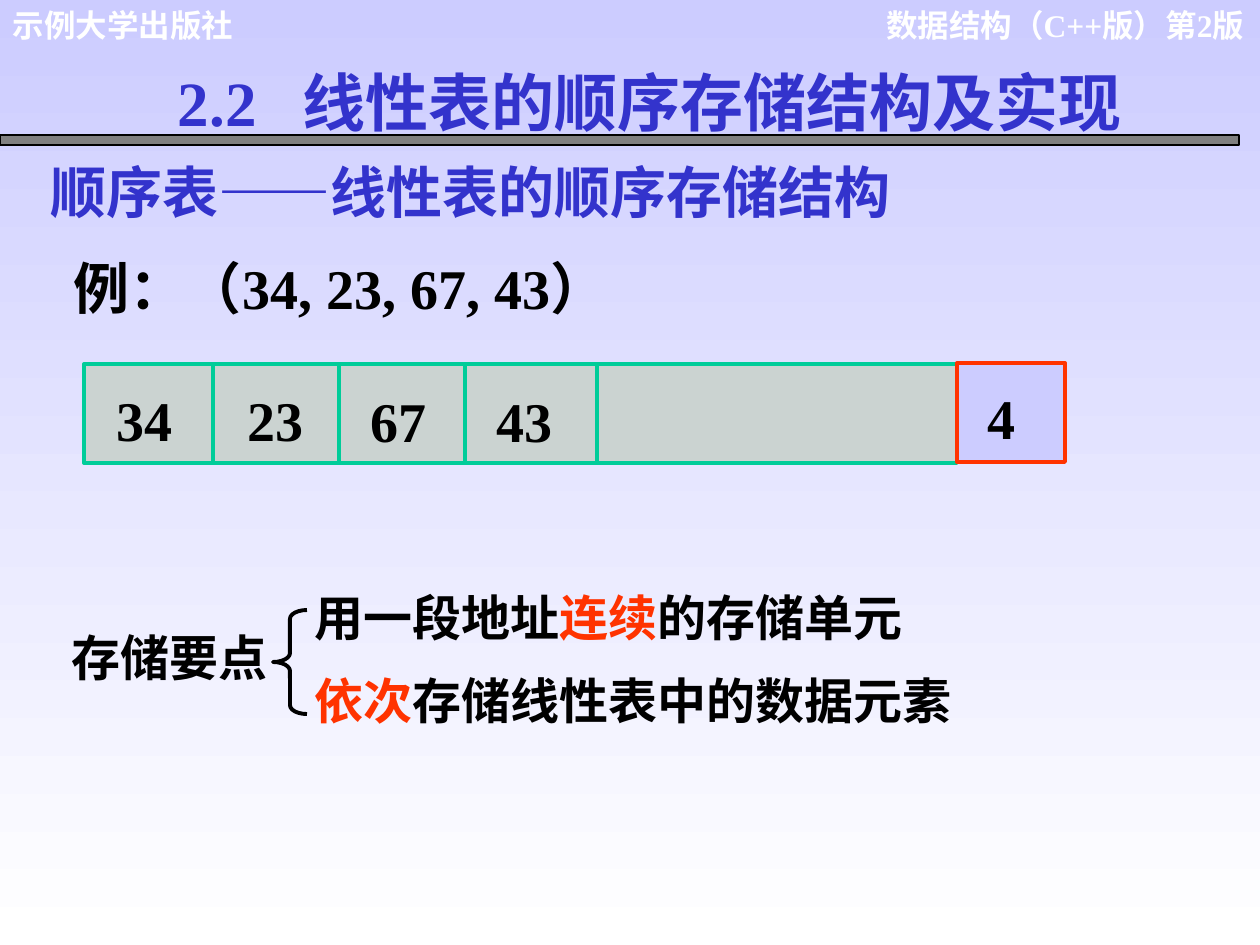
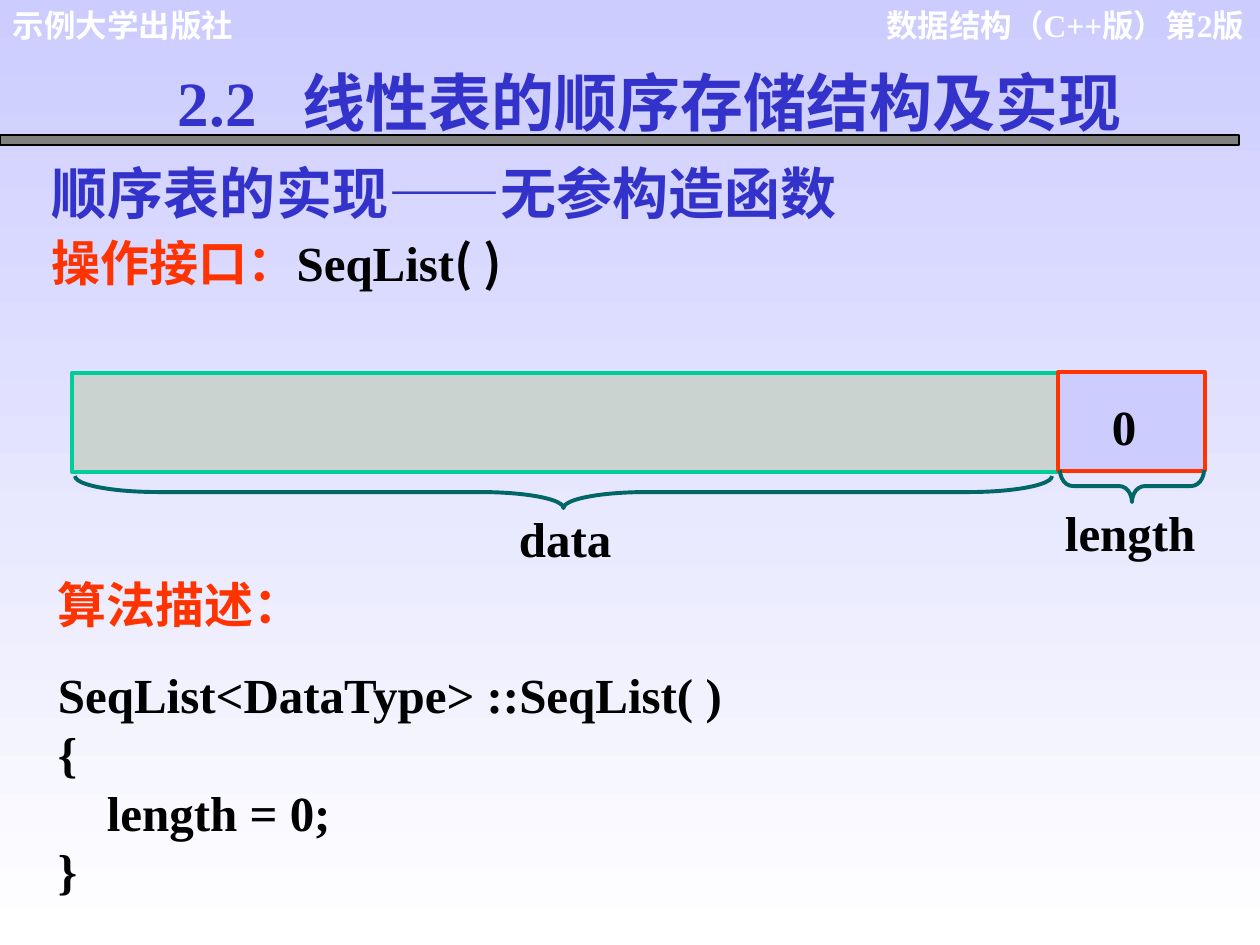
import dataclasses

import lxml.etree
import pptx
import pptx.dml.color
import pptx.enum.shapes
import pptx.enum.text
import pptx.oxml.ns
import pptx.util

EMU_PER_PX = 914400 / 126
ALIGN = pptx.enum.text.PP_ALIGN
SHAPES = pptx.enum.shapes.MSO_SHAPE


@dataclasses.dataclass(frozen=True)
class Theme:
    serif: str = "Times New Roman"
    sans: str = "Arial"
    chinese: str = "Noto Sans CJK SC"
    blue: str = "3333CC"
    red: str = "FF3300"
    black: str = "000000"
    white: str = "FFFFFF"
    lavender: str = "CCCCFF"
    band: str = "808080"
    array: str = "CBD3D1"
    green: str = "00CC99"
    teal: str = "006666"
    title: int = 36
    heading: int = 32
    body: int = 28
    header: int = 18
    outline: float = 2.25
    hairline: float = 0.75


def px(length):
    return pptx.util.Emu(round(length * EMU_PER_PX))


def rgb(value):
    return pptx.dml.color.RGBColor.from_string(value)


class Deck:
    def __init__(self, theme):
        self.theme = theme
        self.presentation = pptx.Presentation()
        self.presentation.slide_width = px(1260)
        self.presentation.slide_height = px(945)
        self.slide = None

    def new_slide(self):
        theme = self.theme
        self.slide = self.presentation.slides.add_slide(self.presentation.slide_layouts[6])
        fill = self.slide.background.fill
        fill.gradient()
        fill.gradient_angle = 270
        for stop, colour in zip(fill.gradient_stops, (theme.lavender, theme.white)):
            stop.color.rgb = rgb(colour)
        self.text((863, 0, 394, 88), "数据结构（C++版）第2版", theme.header, theme.white,
                  align=ALIGN.RIGHT)
        self.text((0, 0, 341, 50), "示例大学出版社", theme.header, theme.white, font=theme.sans)
        self.box((0, 135, 1239, 10), theme.band, theme.black, theme.hairline)
        title = self.text((165, 64, 1029, 76), "2.2\t线性表的顺序存储结构及实现",
                          theme.title, theme.blue, insets=(13, 0, 13, 0))
        self.tab_stop(title.text_frame.paragraphs[0], 125)

    def tab_stop(self, paragraph, position):
        tabs = lxml.etree.SubElement(paragraph._p.get_or_add_pPr(), pptx.oxml.ns.qn("a:tabLst"))
        lxml.etree.SubElement(tabs, pptx.oxml.ns.qn("a:tab"), pos=str(px(position)), algn="l")

    def format_run(self, run, size, colour, font):
        run.font.size = pptx.util.Pt(size)
        run.font.bold = True
        run.font.name = font
        run.font.color.rgb = rgb(colour)
        east_asian = lxml.etree.Element(pptx.oxml.ns.qn("a:ea"), typeface=self.theme.chinese)
        run.font._rPr.find(pptx.oxml.ns.qn("a:latin")).addnext(east_asian)

    def text(self, area, content, size, colour=None, font=None, align=ALIGN.LEFT,
             insets=(13, 6, 13, 6), gap=0, spacing=None):
        shape = self.slide.shapes.add_textbox(*map(px, area))
        frame = shape.text_frame
        frame.word_wrap = True
        (frame.margin_left, frame.margin_top,
         frame.margin_right, frame.margin_bottom) = map(px, insets)
        lines = [content] if isinstance(content, str) else content
        for index, line in enumerate(lines):
            paragraph = frame.paragraphs[0] if index == 0 else frame.add_paragraph()
            paragraph.alignment = align
            if spacing:
                paragraph.line_spacing = spacing
            if index == 1 and gap:
                paragraph.space_before = pptx.util.Pt(gap)
            pieces = [(line,)] if isinstance(line, str) else line
            for piece, *style in pieces:
                run = paragraph.add_run()
                run.text = piece
                run_colour = style[0] if style else colour or self.theme.black
                run_font = style[1] if len(style) > 1 else font or self.theme.serif
                self.format_run(run, size, run_colour, run_font)
        return shape

    def label(self, left, top, content, size):
        self.text((left, top, 140, 80), content, size, insets=(0, 6, 0, 6))

    def box(self, area, fill, line, weight=None):
        shape = self.slide.shapes.add_shape(SHAPES.RECTANGLE, *map(px, area))
        shape.shadow.inherit = False
        shape.fill.solid()
        shape.fill.fore_color.rgb = rgb(fill)
        shape.line.color.rgb = rgb(line)
        shape.line.width = pptx.util.Pt(weight or self.theme.outline)

    def divider(self, x, top, bottom):
        line = self.slide.shapes.add_connector(
            pptx.enum.shapes.MSO_CONNECTOR.STRAIGHT, px(x), px(top), px(x), px(bottom))
        line.line.color.rgb = rgb(self.theme.green)
        line.line.width = pptx.util.Pt(self.theme.outline)
        lxml.etree.SubElement(line._element.spPr, pptx.oxml.ns.qn("a:effectLst"))

    def brace(self, area, colour, curl, pointing_down=False):
        left, top, width, height = area
        if pointing_down:
            area = (left + (width - height) / 2, top + (height - width) / 2, height, width)
        shape = self.slide.shapes.add_shape(SHAPES.LEFT_BRACE, *map(px, area))
        shape.rotation = 270 if pointing_down else 0
        shape.adjustments[0] = curl
        shape.shadow.inherit = False
        shape.fill.background()
        shape.line.color.rgb = rgb(colour)
        shape.line.width = pptx.util.Pt(self.theme.outline)


def storage_slide(deck):
    theme = deck.theme
    deck.new_slide()
    deck.text((37, 151, 1040, 81), "顺序表——线性表的顺序存储结构", theme.heading, theme.blue)
    deck.text((61, 248, 680, 81), "例：（34, 23, 67, 43）", theme.heading)
    deck.box((84, 364, 873, 99), theme.array, theme.green)
    cells = (("34", 117, 379, 213), ("23", 248, 379, 339),
             ("67", 371, 381, 465), ("43", 497, 381, 597))
    for value, left, top, edge in cells:
        deck.divider(edge, 364, 463)
        deck.label(left, top, value, theme.heading)
    deck.box((957, 363, 108, 99), theme.lavender, theme.red)
    deck.label(988, 377, "4", theme.heading)
    deck.text((59, 621, 240, 72), "存储要点", theme.body, font=theme.sans)
    deck.brace((273, 610, 34, 104), theme.black, 0.26)
    points = [
        [("用一段地址",), ("连续", theme.red), ("的存储单元",)],
        [("依次", theme.red), ("存储线性表中的数据元素",)],
    ]
    deck.text((302, 581, 808, 156), points, theme.body, font=theme.sans, gap=14)


def constructor_slide(deck):
    theme = deck.theme
    deck.new_slide()
    deck.text((52, 238, 678, 66),
              [[("操作接口：", theme.red), ("SeqList",), ("( )", theme.black, theme.chinese)]],
              theme.body, insets=(0, 6, 0, 6), spacing=0.8)
    code = [
        [("算法描述：", theme.red)],
        "SeqList<DataType> ::SeqList( )",
        "{",
        "    length = 0;",
        "}",
    ]
    deck.text((45, 569, 840, 338), code, theme.body, gap=17.5)
    deck.text((39, 152, 816, 81), "顺序表的实现——无参构造函数", theme.heading, theme.blue)
    deck.box((72, 373, 987, 99), theme.array, theme.green)
    deck.box((1058, 372, 147, 99), theme.lavender, theme.red)
    deck.brace((75, 476, 977, 32), theme.teal, 2.6, pointing_down=True)
    deck.label(519, 502, "data", theme.body)
    deck.brace((1060, 470, 144, 32), theme.teal, 0.4, pointing_down=True)
    deck.label(1065, 496, "length", theme.body)
    deck.label(1112, 390, "0", theme.body)


def main():
    deck = Deck(Theme())
    storage_slide(deck)
    constructor_slide(deck)
    deck.presentation.save("out.pptx")


if __name__ == "__main__":
    main()
